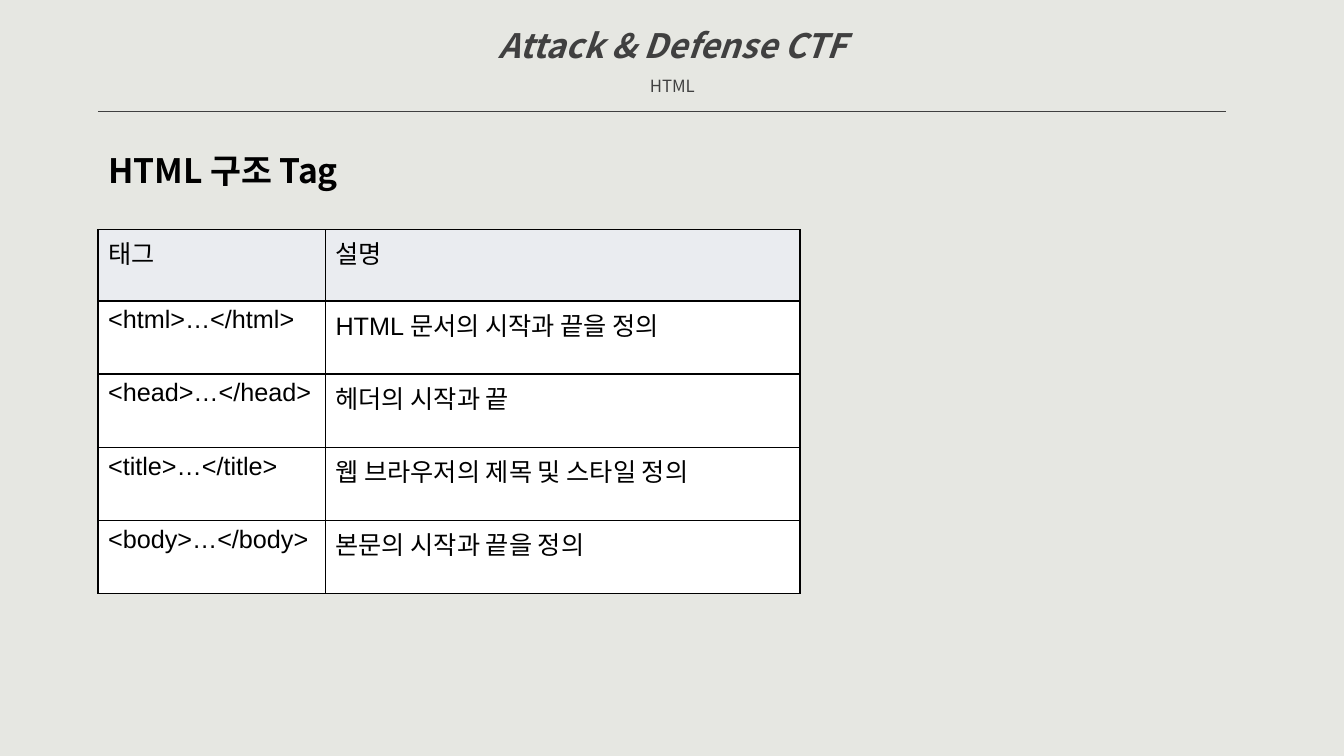
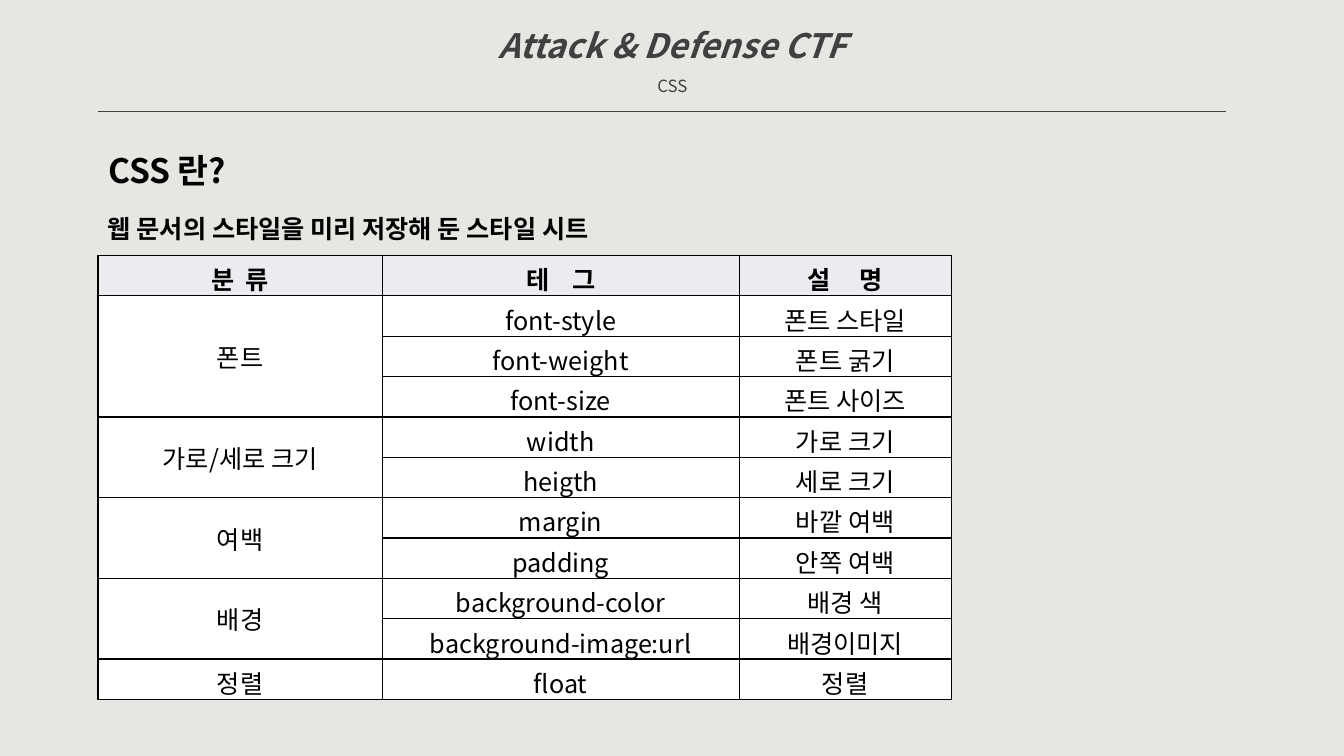
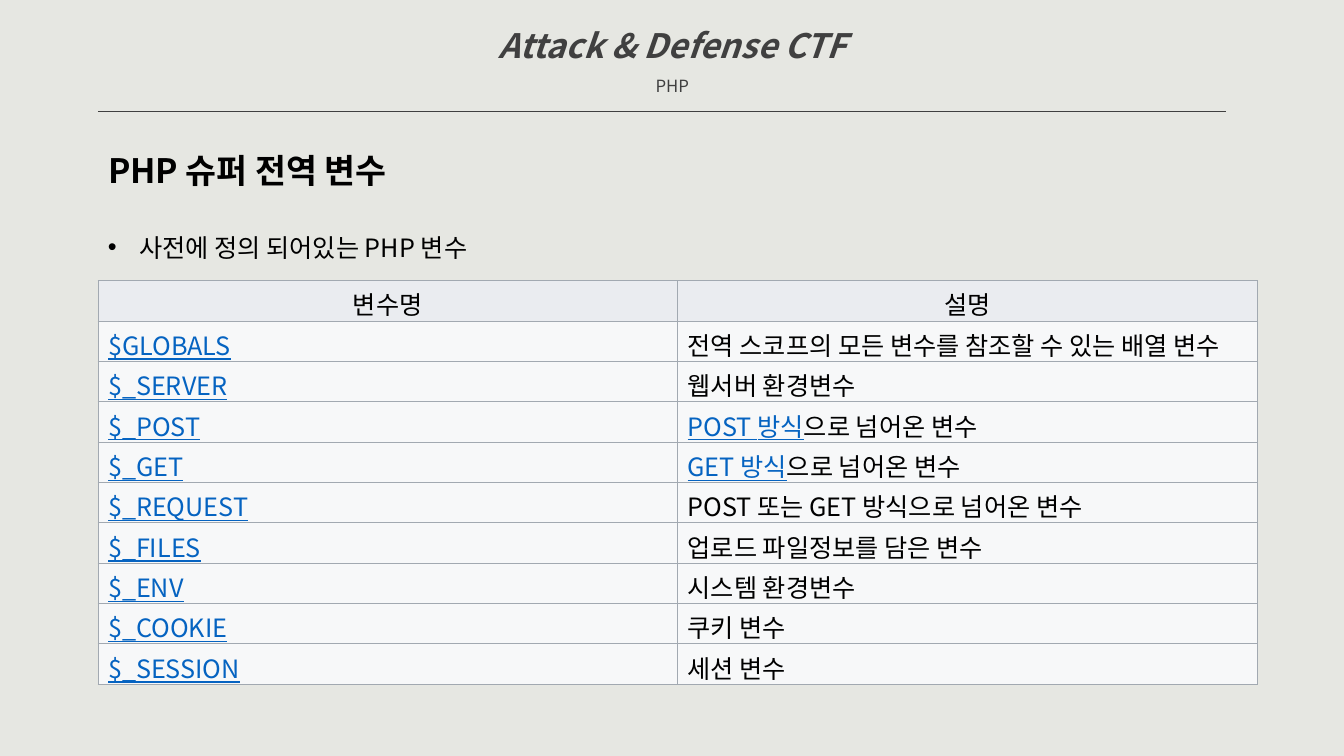
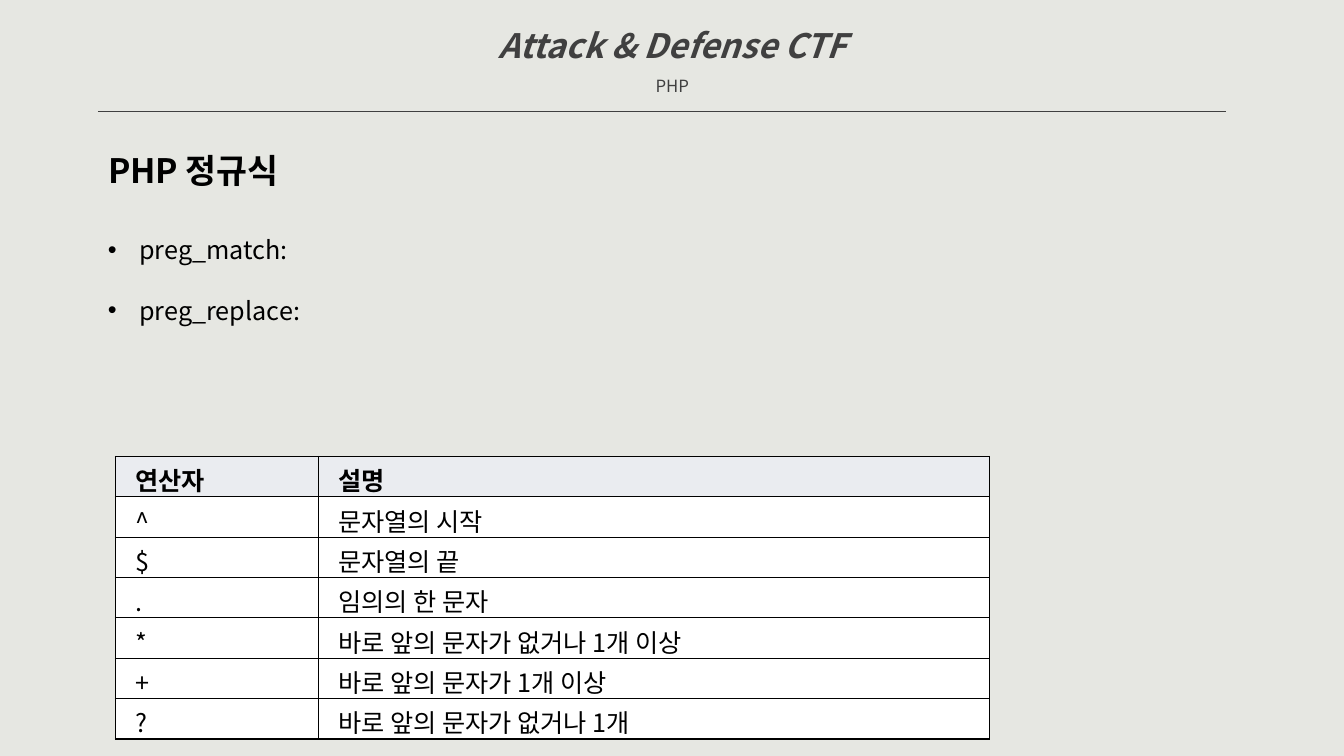
from dataclasses import dataclass

from lxml.etree import SubElement
from pptx import Presentation
from pptx.dml.color import RGBColor as Color
from pptx.enum.shapes import MSO_CONNECTOR as Connector
from pptx.enum.text import MSO_ANCHOR as Anchor, MSO_AUTO_SIZE as AutoSize, PP_ALIGN as Align
from pptx.oxml.ns import qn
from pptx.util import Pt


@dataclass(frozen=True)
class Theme:
    background: str = "E6E7E2"
    header: str = "404040"
    ink: str = "000000"
    link: str = "0563C1"
    head_fill: str = "EAECF0"
    white: str = "FFFFFF"
    pale: str = "F7F8F9"
    grey_line: str = "A2A9B1"
    font: str = "Noto Sans CJK KR"
    latin_font: str = "Arial"
    title_size: int = 24
    body_size: int = 18
    section_size: int = 12


theme = Theme()
LEFT = 70
CONTENT_WIDTH = 806


def add_run(paragraph, text, size=theme.body_size, color=theme.ink, font=theme.font, **format_values):
    """Append a run, with the Korean typeface always set."""
    run = paragraph.add_run()
    run.text = text
    values = {"name": font, "size": Pt(size), "bold": False, **format_values}
    for name, value in values.items():
        setattr(run.font, name, value)
    run.font.color.rgb = Color.from_string(color)
    SubElement(run.font._element, qn("a:ea"), typeface=theme.font)


def set_borders(cell, color, width):
    """Draw the four edges of a table cell."""
    properties = cell._tc.get_or_add_tcPr()
    for edge in ("lnL", "lnR", "lnT", "lnB"):
        line = SubElement(properties, qn(f"a:{edge}"), w=str(Pt(width)))
        SubElement(SubElement(line, qn("a:solidFill")), qn("a:srgbClr"), val=color)


# Content: an empty first cell continues the cell above; a list in a cell holds (text, is_link) runs
php_variables = [
    ("$GLOBALS", "전역 스코프의 모든 변수를 참조할 수 있는 배열 변수"),
    ("$_SERVER", "웹서버 환경변수"),
    ("$_POST", [("POST 방식", True), ("으로 넘어온 변수", False)]),
    ("$_GET", [("GET 방식", True), ("으로 넘어온 변수", False)]),
    ("$_REQUEST", "POST 또는 GET 방식으로 넘어온 변수"),
    ("$_FILES", "업로드 파일정보를 담은 변수"),
    ("$_ENV", "시스템 환경변수"),
    ("$_COOKIE", "쿠키 변수"),
    ("$_SESSION", "세션 변수"),
]
pages = [
    {
        "section": "HTML", "title": "HTML 구조 Tag", "title_width": 180,
        "table": {
            "left": LEFT, "top": 164, "columns": [162.5, 339], "head_height": 51, "row_height": 52.2,
            "font": theme.latin_font,
            "rows": [
                ("태그", "설명"),
                ("<html>…</html>", "HTML 문서의 시작과 끝을 정의"),
                ("<head>…</head>", "헤더의 시작과 끝"),
                ("<title>…</title>", "웹 브라우저의 제목 및 스타일 정의"),
                ("<body>…</body>", "본문의 시작과 끝을 정의"),
            ],
        },
    },
    {
        "section": "CSS", "title": "CSS 란?",
        "notes": {"top": 148.5, "lines": ["웹 문서의 스타일을 미리 저장해 둔 스타일 시트"], "bold": True},
        "table": {
            "left": LEFT, "top": 182.5, "columns": [203, 255, 151.5],
            "align": Align.CENTER, "anchor": Anchor.MIDDLE, "bold_head": True,
            "rows": [
                ("분  류", "테    그", "설     명"),
                ("폰트", "font-style", "폰트 스타일"),
                ("", "font-weight", "폰트 굵기"),
                ("", "font-size", "폰트 사이즈"),
                ("가로/세로 크기", "width", "가로 크기"),
                ("", "heigth", "세로 크기"),
                ("여백", "margin", "바깥 여백"),
                ("", "padding", "안쪽 여백"),
                ("배경", "background-color", "배경 색"),
                ("", "background-image:url", "배경이미지"),
                ("정렬", "float", "정렬"),
            ],
        },
    },
    {
        "section": "PHP", "title": "PHP 슈퍼 전역 변수",
        "notes": {"top": 140.5, "lines": ["사전에 정의 되어있는 PHP 변수"], "bullets": True},
        "table": {
            "left": LEFT, "top": 200.5, "columns": [414, 414],
            "head_align": Align.CENTER, "anchor": Anchor.MIDDLE,
            "fill": theme.pale, "border": (theme.grey_line, 0.75),
            "rows": [("변수명", "설명")]
            + [([(name, True)], meaning) for name, meaning in php_variables],
        },
    },
    {
        "section": "PHP", "title": "PHP 정규식",
        "notes": {"top": 142.5, "lines": ["preg_match:", "preg_replace:"], "bullets": True},
        "table": {
            "left": 82.5, "top": 326, "columns": [145, 479.5], "bold_head": True, "indent": 7,
            "rows": [
                ("연산자", "설명"),
                ("^", "문자열의 시작"),
                ("$", "문자열의 끝"),
                (".", "임의의 한 문자"),
                ("*", "바로 앞의 문자가 없거나 1개 이상"),
                ("+", "바로 앞의 문자가 1개 이상"),
                ("?", "바로 앞의 문자가 없거나 1개"),
            ],
        },
    },
]

presentation = Presentation()
presentation.slide_width, presentation.slide_height = Pt(960), Pt(540)
background = presentation.slide_master.background.fill
background.solid()
background.fore_color.rgb = Color.from_string(theme.background)
title_only = presentation.slide_layouts[5]

for page in pages:
    slide = presentation.slides.add_slide(title_only)

    # Slide title
    title = slide.shapes.title
    title.left, title.top = Pt(LEFT), Pt(103.5)
    title.width, title.height = Pt(page.get("title_width", CONTENT_WIDTH)), Pt(36)
    frame = title.text_frame
    frame.word_wrap, frame.auto_size, frame.vertical_anchor = True, AutoSize.NONE, Anchor.TOP
    frame.paragraphs[0].alignment = Align.LEFT
    add_run(frame.paragraphs[0], page["title"], theme.title_size, bold=True)

    # Header band: course name, section and rule
    frame = slide.shapes.add_textbox(Pt(253.5), 0, Pt(453.5), Pt(70)).text_frame
    frame.word_wrap = True
    course, section = frame.paragraphs[0], frame.add_paragraph()
    add_run(course, "Attack & Defense CTF", theme.title_size, theme.header, bold=True, italic=True)
    add_run(section, page["section"], theme.section_size, theme.header)
    for paragraph in (course, section):
        paragraph.alignment, paragraph.line_spacing = Align.CENTER, 1.5
    rule = slide.shapes.add_connector(
        Connector.STRAIGHT, Pt(LEFT), Pt(79.5), Pt(LEFT + CONTENT_WIDTH), Pt(79.5))
    rule.line.color.rgb = Color.from_string(theme.header)
    rule.line.width = Pt(0.5)
    SubElement(rule._element.spPr, qn("a:effectLst"))

    # Lines under the title
    notes = page.get("notes")
    if notes:
        frame = slide.shapes.add_textbox(
            Pt(LEFT), Pt(notes["top"]), Pt(CONTENT_WIDTH), Pt(44 * len(notes["lines"]))).text_frame
        frame.word_wrap = True
        for index, text in enumerate(notes["lines"]):
            paragraph = frame.add_paragraph() if index else frame.paragraphs[0]
            add_run(paragraph, text, bold=notes.get("bold", False))
            if notes.get("bullets"):
                paragraph.line_spacing = 2.0
                properties = paragraph._p.get_or_add_pPr()
                properties.set("marL", str(Pt(22.5)))
                properties.set("indent", str(-Pt(22.5)))
                SubElement(properties, qn("a:buFont"), typeface=theme.latin_font)
                SubElement(properties, qn("a:buChar"), char="•")

    # Table
    design = page["table"]
    rows, columns = design["rows"], design["columns"]
    row_height = design.get("row_height", 28.8)
    heights = [design.get("head_height", row_height)] + [row_height] * (len(rows) - 1)
    table = slide.shapes.add_table(
        len(rows), len(columns), Pt(design["left"]), Pt(design["top"]),
        Pt(sum(columns)), Pt(sum(heights))).table
    for column, width in zip(table.columns, columns):
        column.width = Pt(width)

    group_start = 0
    for row_index, row in enumerate(rows):
        table.rows[row_index].height = Pt(heights[row_index])
        is_head = row_index == 0
        align = design.get("align", Align.LEFT)
        if is_head:
            align = design.get("head_align", align)
        for column_index, content in enumerate(row):
            cell = table.cell(row_index, column_index)
            set_borders(cell, *design.get("border", (theme.ink, 1)))
            cell.fill.solid()
            cell.fill.fore_color.rgb = Color.from_string(
                theme.head_fill if is_head else design.get("fill", theme.white))
            if not content:
                continue
            cell.vertical_anchor = design.get("anchor", Anchor.TOP)
            paragraph = cell.text_frame.paragraphs[0]
            paragraph.alignment = align
            if "indent" in design:
                paragraph._p.get_or_add_pPr().set("marL", str(Pt(design["indent"])))
            runs = [(content, False)] if isinstance(content, str) else content
            for text, is_link in runs:
                add_run(paragraph, text, color=theme.link if is_link else theme.ink,
                        font=design.get("font", theme.font), underline=is_link,
                        bold=is_head and design.get("bold_head", False))

        # Join a group of rows once its last row is reached
        if row[0]:
            group_start = row_index
        group_ends = row_index + 1 == len(rows) or rows[row_index + 1][0]
        if group_ends and row_index > group_start:
            table.cell(group_start, 0).merge(table.cell(row_index, 0))

presentation.save("out.pptx")
